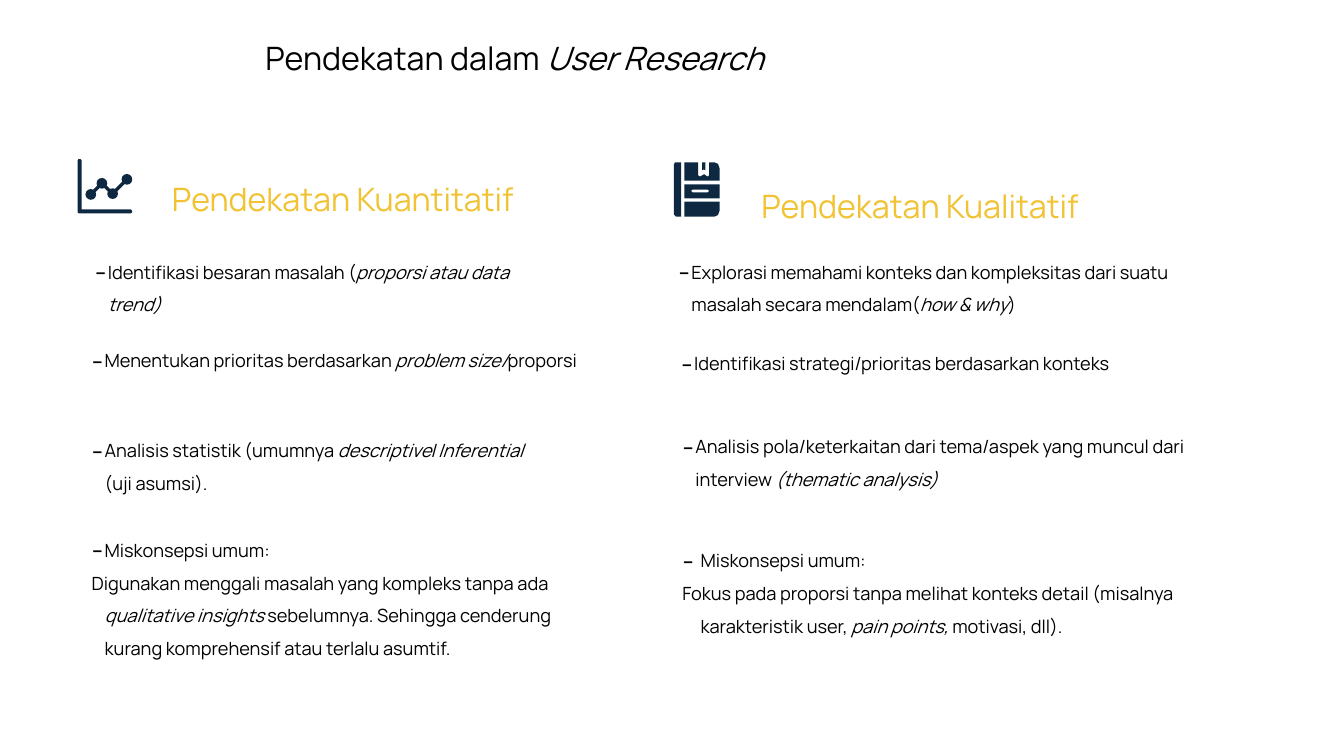
import dataclasses

import lxml.etree
import pptx
import pptx.dml.color
import pptx.enum.shapes
import pptx.enum.text
import pptx.oxml.ns
import pptx.util

Cm = pptx.util.Cm
Align = pptx.enum.text.PP_ALIGN
Anchor = pptx.enum.text.MSO_ANCHOR
AutoSize = pptx.enum.text.MSO_AUTO_SIZE
qn = pptx.oxml.ns.qn


@dataclasses.dataclass(frozen=True)
class Theme:
    font: str = "Manrope"
    heading_size: int = 23
    body_size: int = 13
    text: str = "000000"
    accent: str = "F1C232"
    icon: str = "0E2841"
    line_spacing: float = 1.5
    inset: float = 0.18
    bullet_percent: int = 153


def rgb(code):
    return pptx.dml.color.RGBColor.from_string(code)


class ResearchSlide:
    def __init__(self, presentation, theme):
        self.theme = theme
        self.slide = presentation.slides.add_slide(presentation.slide_layouts[4])
        self.shapes = self.slide.shapes
        self.placeholders = {
            shape.placeholder_format.idx: shape for shape in self.slide.placeholders
        }

    def place(self, shape, box, anchor=Anchor.TOP, grow=True):
        """Position a text shape, given in centimetres, and set up its frame."""
        shape.left, shape.top, shape.width, shape.height = map(Cm, box)
        frame = shape.text_frame
        frame.word_wrap = True
        frame.auto_size = AutoSize.SHAPE_TO_FIT_TEXT if grow else AutoSize.NONE
        frame.vertical_anchor = anchor
        frame.margin_left = frame.margin_right = Cm(self.theme.inset)
        frame.margin_top = frame.margin_bottom = Cm(self.theme.inset)
        return frame

    def fill_paragraph(self, paragraph, text, size, color, spacing):
        """Fill a paragraph; parts between asterisks become italic."""
        paragraph.line_spacing = spacing
        paragraph.space_before = pptx.util.Pt(0)
        for number, part in enumerate(text.split("*")):
            if not part:
                continue
            run = paragraph.add_run()
            run.text = part
            run.font.name = self.theme.font
            run.font.size = pptx.util.Pt(size)
            run.font.bold = False
            run.font.italic = number % 2 == 1
            run.font.color.rgb = rgb(color)

    def heading(self, index, text, box, color, spacing, **frame_options):
        frame = self.place(self.placeholders[index], box, **frame_options)
        paragraph = frame.paragraphs[0]
        paragraph.alignment = Align.CENTER
        self.fill_paragraph(paragraph, text, self.theme.heading_size, color, spacing)

    def points(self, lines, box, index=None, margin=0.33, hanging=0.33):
        """Add a dashed point, followed by any undashed lines."""
        if index is None:
            shape = self.shapes.add_textbox(0, 0, 0, 0)
        else:
            shape = self.placeholders[index]
        frame = self.place(shape, box)
        for number, line in enumerate(lines):
            paragraph = frame.add_paragraph() if number else frame.paragraphs[0]
            paragraph.alignment = Align.LEFT
            self.indent(paragraph, margin, hanging, dashed=number == 0)
            self.fill_paragraph(paragraph, line, self.theme.body_size,
                                self.theme.text, self.theme.line_spacing)

    def indent(self, paragraph, margin, hanging, dashed):
        properties = paragraph._p.get_or_add_pPr()
        properties.set("marL", str(Cm(margin)))
        properties.set("indent", str(-Cm(hanging)))
        if not dashed:
            lxml.etree.SubElement(properties, qn("a:buNone"))
            return
        color = lxml.etree.SubElement(properties, qn("a:buClr"))
        lxml.etree.SubElement(color, qn("a:srgbClr"), val=self.theme.text)
        lxml.etree.SubElement(properties, qn("a:buSzPct"),
                              val=str(self.theme.bullet_percent * 1000))
        lxml.etree.SubElement(properties, qn("a:buFont"), typeface=self.theme.font)
        lxml.etree.SubElement(properties, qn("a:buChar"), char="-")

    def paint(self, shape):
        shape.shadow.inherit = False
        shape.fill.solid()
        shape.fill.fore_color.rgb = rgb(self.theme.icon)
        shape.line.fill.background()

    def outline(self, *contours):
        """Draw a filled outline from points in hundredths of a centimetre."""
        first, *others = contours
        builder = self.shapes.build_freeform(*first[0], scale=Cm(0.01))
        builder.add_line_segments(first[1:], close=True)
        for contour in others:
            builder.move_to(*contour[0])
            builder.add_line_segments(contour[1:], close=True)
        self.paint(builder.convert_to_shape())

    def trend(self, centers, diameter):
        for start, end in zip(centers, centers[1:]):
            connector = self.shapes.add_connector(
                pptx.enum.shapes.MSO_CONNECTOR.STRAIGHT, *map(Cm, start + end))
            connector.line.color.rgb = rgb(self.theme.icon)
            connector.line.width = pptx.util.Pt(2.4)
            lxml.etree.SubElement(connector._element.spPr, qn("a:effectLst"))
        for x, y in centers:
            self.paint(self.shapes.add_shape(
                pptx.enum.shapes.MSO_SHAPE.OVAL, Cm(x - diameter / 2),
                Cm(y - diameter / 2), Cm(diameter), Cm(diameter)))

    def chart_icon(self):
        self.outline([(196, 404), (198, 401), (203, 401), (206, 404), (206, 528),
                      (330, 528), (333, 531), (333, 535), (330, 538), (199, 538),
                      (196, 535)])
        self.trend([(2.29, 4.9), (2.57, 4.62), (2.84, 4.88), (3.2, 4.52)], 0.27)

    def book_icon(self):
        spine = [(1702, 409), (1717, 409), (1717, 546), (1704, 546), (1699, 541),
                 (1699, 414)]
        cover_top = [(1725, 409), (1760, 409), (1760, 442), (1765, 445), (1775, 439),
                     (1783, 445), (1788, 442), (1788, 409), (1801, 409), (1810, 413),
                     (1814, 424), (1814, 455), (1725, 455)]
        ribbon = [(1770, 409), (1778, 409), (1778, 429), (1774, 427), (1770, 429)]
        label = [(1725, 465), (1725, 500), (1814, 500), (1814, 465)]
        slot = [(1746, 478), (1784, 478), (1788, 481), (1784, 485), (1746, 485),
                (1742, 481)]
        cover_bottom = [(1725, 508), (1814, 508), (1814, 531), (1810, 542),
                        (1801, 546), (1725, 546)]
        for contours in ([spine], [cover_top], [ribbon], [label, slot], [cover_bottom]):
            self.outline(*contours)


def main():
    presentation = pptx.Presentation()
    presentation.slide_width, presentation.slide_height = Cm(33.88), Cm(19.05)
    theme = Theme()
    page = ResearchSlide(presentation, theme)

    page.heading(0, "Pendekatan dalam *User Research*", (2.74, 0.79, 20.47, 1.32),
                 theme.text, 1.0)
    page.heading(1, "Pendekatan Kuantitatif", (3.15, 4.37, 11, 0.81), theme.accent,
                 theme.line_spacing, anchor=Anchor.MIDDLE, grow=False)
    page.heading(3, "Pendekatan Kualitatif", (17.7, 4.04, 11, 1.8), theme.accent,
                 theme.line_spacing)
    page.chart_icon()
    page.book_icon()

    single_points = [
        ("Identifikasi besaran masalah (*proporsi atau data trend)*",
         (2.21, 6.12, 11.38, 1.98)),
        ("Menentukan prioritas berdasarkan *problem size/*proporsi",
         (2.13, 8.36, 12.93, 1.17)),
        ("Analisis statistik (umumnya *descriptive*/*Inferential* (uji asumsi).",
         (2.13, 10.62, 11.35, 1.98)),
        ("Explorasi memahami konteks dan kompleksitas dari suatu masalah secara "
         "mendalam(*how & why*)", (16.92, 6.12, 13.94, 1.98)),
        ("Identifikasi strategi/prioritas berdasarkan konteks",
         (16.99, 8.43, 13.79, 1.17)),
        ("Analisis pola/keterkaitan dari tema/aspek yang muncul dari interview"
         "* (thematic analysis)*", (17.02, 10.52, 13.79, 1.98)),
    ]
    for text, box in single_points:
        page.points([text], box)

    misconception = "Miskonsepsi umum:"
    page.points([misconception,
                 "Digunakan menggali masalah yang kompleks tanpa ada *qualitative "
                 "insights* sebelumnya. Sehingga cenderung kurang komprehensif atau "
                 "terlalu asumtif."], (2.13, 13.13, 12.57, 3.63), index=2)
    page.points([misconception,
                 "Fokus pada proporsi tanpa melihat konteks detail (misalnya "
                 "karakteristik user, *pain points,* motivasi, dll)."],
                (16.74, 13.39, 13.79, 2.82), index=4, margin=0.74, hanging=0.46)
    presentation.save("out.pptx")


if __name__ == "__main__":
    main()
